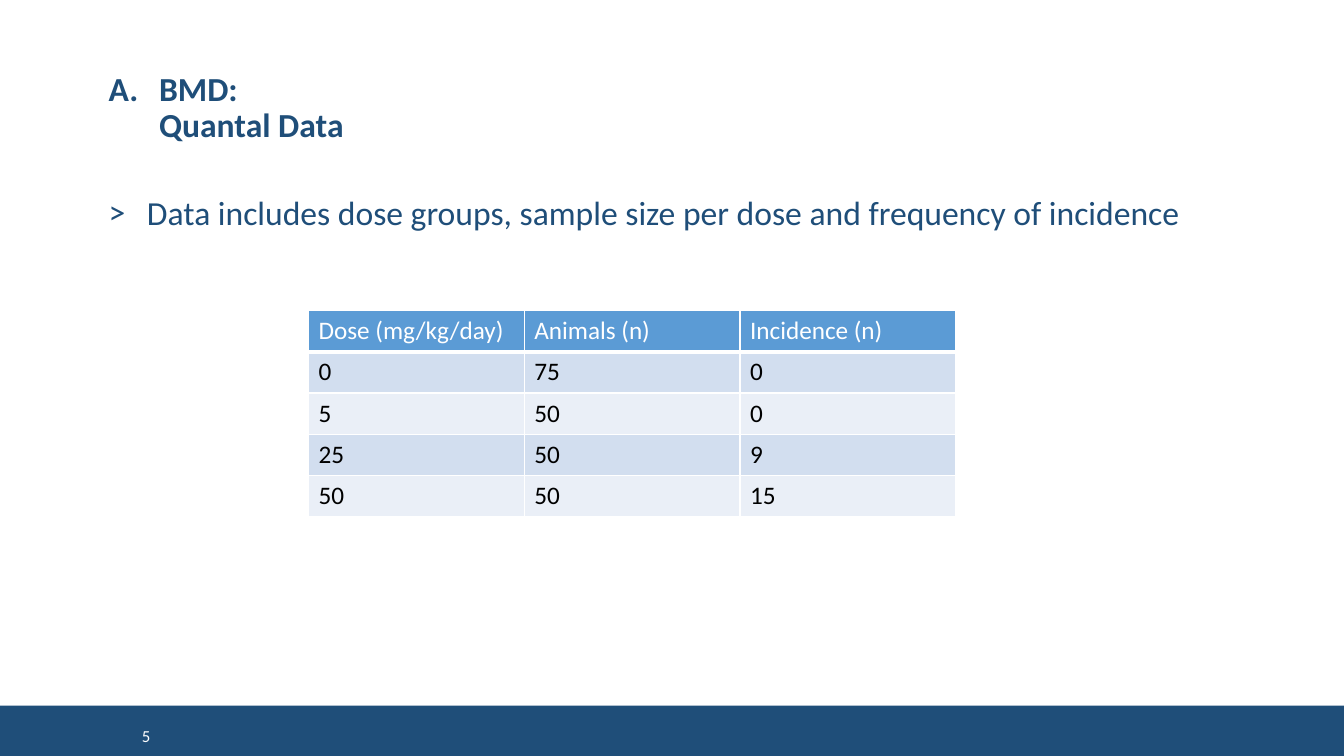
from dataclasses import dataclass
from typing import Any, Optional

import pptx
import pptx.dml.color
import pptx.enum.shapes
import pptx.enum.text
import pptx.oxml.ns
import pptx.util
from lxml import etree

Inches = pptx.util.Inches
Pt = pptx.util.Pt
Align = pptx.enum.text.PP_ALIGN
Anchor = pptx.enum.text.MSO_ANCHOR


@dataclass(frozen=True)
class Theme:
    font: str = "Calibri"
    navy: str = "1F4E79"
    white: str = "FFFFFF"
    black: str = "000000"
    header: str = "5B9BD5"
    bands: tuple[str, str] = ("D2DEEF", "EAEFF7")
    body_size: int = 24
    table_size: int = 18
    number_size: int = 12


@dataclass(frozen=True)
class TextBox:
    text: str
    left: float
    top: float
    width: float
    height: float
    size: int
    color: str
    bold: bool = False
    align: Any = Align.LEFT
    anchor: Any = Anchor.TOP
    bullet: Optional[str] = None
    indent: float = 0


THEME = Theme()
SLIDE_WIDTH, SLIDE_HEIGHT = 13.33, 7.5
FOOTER_HEIGHT = 0.5
MARGIN, CONTENT_WIDTH = 0.98, 11.44
TABLE_LEFT, TABLE_TOP = 3.06, 3.08
COLUMN_WIDTH, ROW_HEIGHT = 2.14, 0.41

TEXT_BOXES = (
    TextBox("BMD:\vQuantal Data", MARGIN, 0.41, CONTENT_WIDTH, 1.08, THEME.body_size,
            THEME.navy, bold=True, anchor=Anchor.BOTTOM, bullet="A.", indent=0.5),
    TextBox("Data includes dose groups, sample size per dose and frequency of incidence",
            MARGIN, 1.9, CONTENT_WIDTH, 4.39, THEME.body_size, THEME.navy,
            bullet=">", indent=0.38),
    TextBox("5", MARGIN, 7.1, 0.61, 0.4, THEME.number_size, THEME.white,
            align=Align.RIGHT, anchor=Anchor.MIDDLE),
)

DOSE_ROWS = (
    ("Dose (mg/kg/day)", "Animals (n)", "Incidence (n)"),
    ("0", "75", "0"),
    ("5", "50", "0"),
    ("25", "50", "9"),
    ("50", "50", "15"),
)


def rgb(color: str) -> pptx.dml.color.RGBColor:
    return pptx.dml.color.RGBColor.from_string(color)


def add_child(parent: Any, tag: str, **attributes: str) -> Any:
    return etree.SubElement(parent, pptx.oxml.ns.qn(tag), attributes)


def write_text(frame: Any, text: str, *, size: int, color: str, bold: bool = False,
               align: Any = Align.LEFT) -> Any:
    frame.text = text
    paragraph = frame.paragraphs[0]
    paragraph.alignment = align
    for run in paragraph.runs:
        run.font.name = THEME.font
        run.font.size = Pt(size)
        run.font.bold = bold
        run.font.color.rgb = rgb(color)
    return paragraph


def add_bullet(paragraph: Any, marker: str, indent: float) -> None:
    paragraph.line_spacing = 0.9
    paragraph.space_before = Pt(10)
    properties = paragraph._p.get_or_add_pPr()
    properties.set("marL", str(Inches(indent)))
    properties.set("indent", str(-Inches(indent)))
    add_child(properties, "a:buFont", typeface=THEME.font)
    if marker == "A.":
        add_child(properties, "a:buAutoNum", type="alphaUcPeriod")
    else:
        add_child(properties, "a:buChar", char=marker)


def add_text_box(slide: Any, box: TextBox) -> None:
    shape = slide.shapes.add_textbox(Inches(box.left), Inches(box.top),
                                     Inches(box.width), Inches(box.height))
    frame = shape.text_frame
    frame.word_wrap = True
    frame.vertical_anchor = box.anchor
    paragraph = write_text(frame, box.text, size=box.size, color=box.color,
                           bold=box.bold, align=box.align)
    if box.bullet:
        add_bullet(paragraph, box.bullet, box.indent)


def add_footer_band(slide: Any) -> None:
    band = slide.shapes.add_shape(
        pptx.enum.shapes.MSO_SHAPE.RECTANGLE, 0, Inches(SLIDE_HEIGHT - FOOTER_HEIGHT),
        Inches(SLIDE_WIDTH), Inches(FOOTER_HEIGHT))
    band.shadow.inherit = False
    band.fill.solid()
    band.fill.fore_color.rgb = rgb(THEME.navy)
    band.line.fill.background()


def add_borders(cell: Any, bottom: int) -> None:
    properties = cell._tc.get_or_add_tcPr()
    widths = {"a:lnL": 1, "a:lnR": 1, "a:lnT": 1, "a:lnB": bottom}
    for position, (tag, width) in enumerate(widths.items()):
        border = add_child(properties, tag, w=str(Pt(width)))
        add_child(add_child(border, "a:solidFill"), "a:srgbClr", val=THEME.white)
        properties.insert(position, border)  # borders come before the fill


def add_dose_table(slide: Any) -> None:
    row_count, column_count = len(DOSE_ROWS), len(DOSE_ROWS[0])
    table = slide.shapes.add_table(
        row_count, column_count, Inches(TABLE_LEFT), Inches(TABLE_TOP),
        Inches(COLUMN_WIDTH * column_count), Inches(ROW_HEIGHT * row_count)).table
    for column in table.columns:
        column.width = Inches(COLUMN_WIDTH)
    for row_index, values in enumerate(DOSE_ROWS):
        table.rows[row_index].height = Inches(ROW_HEIGHT)
        is_header = row_index == 0
        fill = THEME.header if is_header else THEME.bands[(row_index - 1) % 2]
        for column_index, value in enumerate(values):
            cell = table.cell(row_index, column_index)
            cell.fill.solid()
            cell.fill.fore_color.rgb = rgb(fill)
            write_text(cell.text_frame, value, size=THEME.table_size,
                       color=THEME.white if is_header else THEME.black)
            add_borders(cell, bottom=3 if is_header else 1)


def main() -> None:
    presentation = pptx.Presentation()
    presentation.slide_width = Inches(SLIDE_WIDTH)
    presentation.slide_height = Inches(SLIDE_HEIGHT)
    slide = presentation.slides.add_slide(presentation.slide_layouts[6])

    # Footer band, then heading, statement and page number
    add_footer_band(slide)
    for box in TEXT_BOXES:
        add_text_box(slide, box)

    # Quantal data by dose group
    add_dose_table(slide)

    presentation.save("out.pptx")


main()
